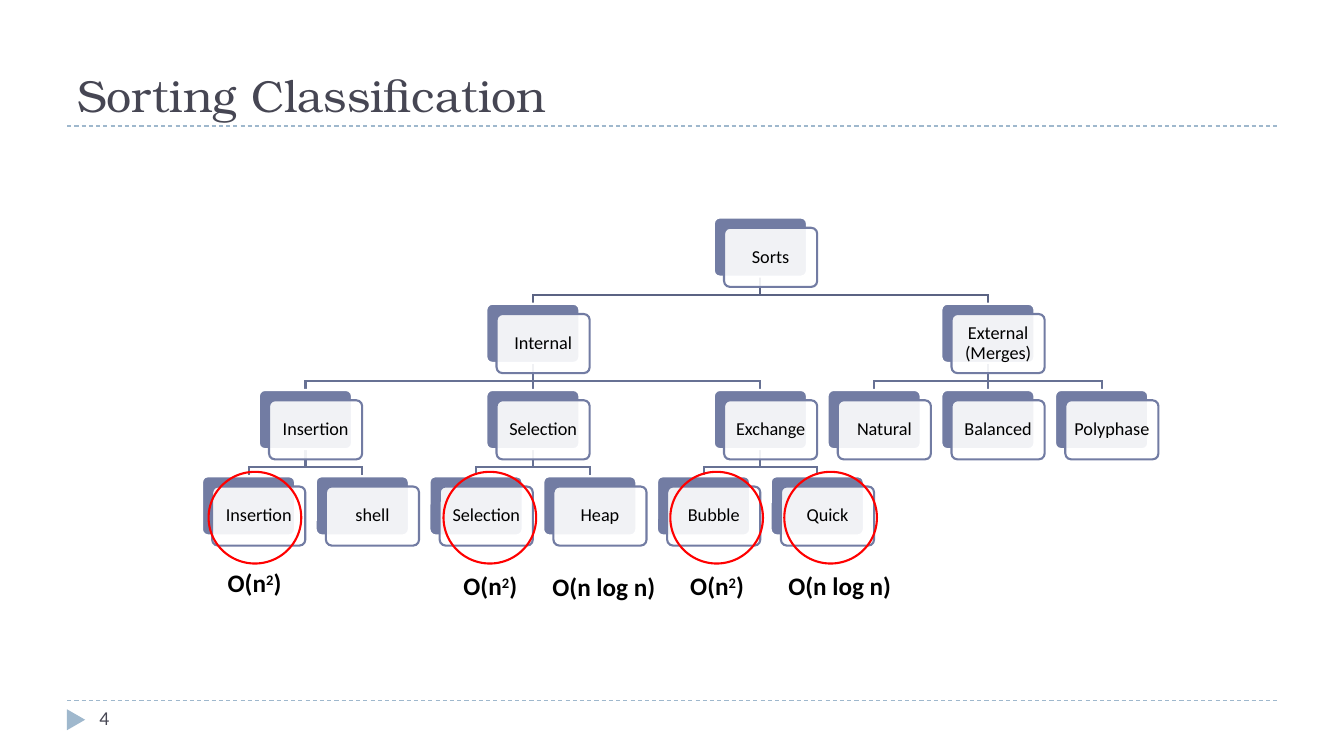
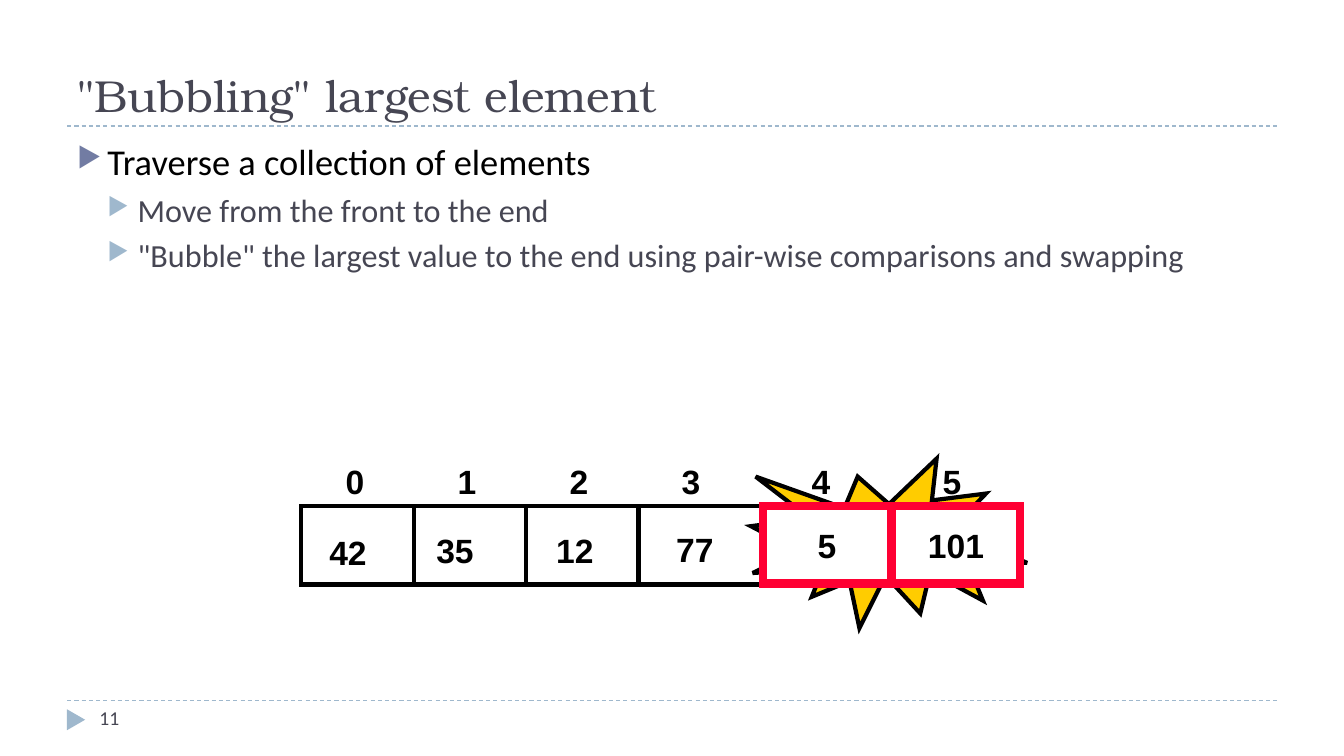
"""Build two slides on sorting: a classification tree and a bubbling step."""
from dataclasses import dataclass

from lxml.etree import SubElement
from pptx import Presentation
from pptx.dml.color import RGBColor
from pptx.enum.dml import MSO_LINE
from pptx.enum.shapes import MSO_CONNECTOR, MSO_SHAPE
from pptx.enum.text import MSO_ANCHOR, PP_ALIGN
from pptx.oxml.ns import qn
from pptx.util import Pt


@dataclass(frozen=True)
class Theme:
    ink: str = "464653"
    black: str = "000000"
    white: str = "FFFFFF"
    accent: str = "727CA3"
    pale: str = "9FB8CD"
    root_branch: str = "5B6383"
    branch: str = "677194"
    ring: str = "FF0000"
    compare: str = "FF0033"
    burst: str = "FFCC00"
    title_font: str = "TeX Gyre Bonum"
    body_font: str = "Calibri"
    array_font: str = "Arial"
    title_size: int = 32
    point_size: int = 26
    subpoint_size: int = 23
    array_size: int = 24
    cost_size: int = 18
    number_size: int = 14
    node_size: int = 13


THEME = Theme()
WIDTH, HEIGHT = 960, 540
MARGIN, CONTENT_WIDTH = 48, 864

SORT_TREE = ("Sorts", [
    ("Internal", [
        ("Insertion", [("Insertion", 0), ("shell", 1)]),
        ("Selection", [("Selection", 2), ("Heap", 3)]),
        ("Exchange", [("Bubble", 4), ("Quick", 5)]),
    ]),
    ("External (Merges)", [("Natural", 5.5), ("Balanced", 6.5), ("Polyphase", 7.5)]),
])
TREE_LEFT, TREE_TOP = 144.3, 155.4
SLOT_STEP, LEVEL_STEP = 81.25, 61.6
CARD_WIDTH, CARD_HEIGHT = 66.5, 42.2
CARD_SHIFT, ELBOW_DROP = 7.3, 13
RING_LEFTS = (149, 316.8, 478.8, 560.2)
RING_TOP, RING_WIDTH, RING_HEIGHT = 337, 66.2, 65.5
QUADRATIC = (("O(n", 0), ("2", 30000), (")", 0))
LINEARITHMIC = (("O(n log n)", 0),)
COSTS = (
    (181.8, 401.8, QUADRATIC),
    (350.2, 404, QUADRATIC),
    (431.3, 404.6, LINEARITHMIC),
    (512.2, 404, QUADRATIC),
    (599.8, 404, LINEARITHMIC),
)
COST_WIDTH = 120

POINTS = (
    (0, "Traverse a collection of elements"),
    (1, "Move from the front to the end"),
    (1, '"Bubble" the largest value to the end using pair-wise comparisons and swapping'),
)
POINT_STYLES = (
    (THEME.point_size, THEME.black, THEME.accent, 6),
    (THEME.subpoint_size, THEME.ink, THEME.pale, 5),
)
POINT_INDENT = 21.6
ARRAY_BOX = (215.3, 361.4, 513.4, 56.2)
CELL_WIDTH = 80.25
SETTLED = (("42", 228.2, 376.6), ("35", 304.6, 375.1), ("12", 390.2, 375.1), ("77", 475.9, 374.4))
INDEX_CENTRES = (253.6, 333.6, 413.6, 493.6, 586.4, 680)
INDEX_TOP, LABEL_WIDTH, LABEL_HEIGHT = 325.4, 42, 36.7
BURST_BOX = (536.4, 327.6, 197.3, 121)
COMPARED = ("5", "101")
COMPARED_LEFT, COMPARED_STEP, COMPARED_WIDTH, COMPARED_HEIGHT = 545, 92.2, 91.4, 55.4


def rgb(value):
    return RGBColor.from_string(value)


def points(*lengths):
    return [Pt(length) for length in lengths]


def add_run(paragraph, text, size, color, font=THEME.body_font, bold=False, baseline=0):
    run = paragraph.add_run()
    run.text = text
    run.font.size, run.font.name, run.font.bold = Pt(size), font, bold
    run.font.color.rgb = rgb(color)
    if baseline:
        run._r.get_or_add_rPr().set("baseline", str(baseline))


def add_label(slide, box, runs, size, color, font=THEME.body_font, bold=False,
              align=PP_ALIGN.LEFT, anchor=MSO_ANCHOR.TOP):
    frame = slide.shapes.add_textbox(*points(*box)).text_frame
    frame.word_wrap = True
    frame.vertical_anchor = anchor
    paragraph = frame.paragraphs[0]
    paragraph.alignment = align
    for text, baseline in runs:
        add_run(paragraph, text, size, color, font, bold, baseline)


def paint(shape, fill=None, line=None, weight=1.5):
    shape.shadow.inherit = False
    if fill:
        shape.fill.solid()
        shape.fill.fore_color.rgb = rgb(fill)
    else:
        shape.fill.background()
    if line:
        shape.line.color.rgb = rgb(line)
        shape.line.width = Pt(weight)
        SubElement(shape._element.spPr.find(qn("a:ln")), qn("a:miter"), lim="800000")
    else:
        shape.line.fill.background()


def add_block(slide, preset, box, fill=None, line=None, weight=1.5):
    block = slide.shapes.add_shape(preset, *points(*box))
    paint(block, fill, line, weight)
    return block


def add_rule(slide, start, end, color, weight, dashed=False):
    rule = slide.shapes.add_connector(MSO_CONNECTOR.STRAIGHT, *points(*start, *end))
    rule.line.color.rgb = rgb(color)
    rule.line.width = Pt(weight)
    if dashed:
        rule.line.dash_style = MSO_LINE.DASH
    SubElement(rule._element.spPr, qn("a:effectLst"))


def add_base(deck, title, number):
    slide = deck.slides.add_slide(deck.slide_layouts[6])
    for y in (500.4, 90):
        add_rule(slide, (MARGIN, y), (MARGIN + CONTENT_WIDTH, y), THEME.pale, 0.75, True)
    marker = add_block(slide, MSO_SHAPE.ISOSCELES_TRIANGLE, (46.8, 507.6, 15, 13), THEME.pale)
    marker.rotation = 90
    add_label(slide, (MARGIN, 12, CONTENT_WIDTH, 78), [(title, 0)], THEME.title_size,
              THEME.ink, THEME.title_font, anchor=MSO_ANCHOR.BOTTOM)
    add_label(slide, (64, 500.4, 208, 28.8), [(str(number), 0)], THEME.number_size, THEME.ink)
    return slide


def place_tree(node, level=0):
    """Return the node's slot with all cards and branches below it."""
    name, below = node
    if not isinstance(below, list):
        return below, [(name, below, level)], []
    placed = [place_tree(child, level + 1) for child in below]
    slots = [slot for slot, _, _ in placed]
    slot = (slots[0] + slots[-1]) / 2
    cards = [(name, slot, level)] + [card for _, group, _ in placed for card in group]
    branches = [(slot, child, level) for child in slots]
    branches += [branch for _, _, group in placed for branch in group]
    return slot, cards, branches


def add_branch(slide, parent, child, level):
    start_x, end_x = (TREE_LEFT + slot * SLOT_STEP + CARD_WIDTH / 2 for slot in (parent, child))
    end_y = TREE_TOP + (level + 1) * LEVEL_STEP
    start_y = end_y - LEVEL_STEP + CARD_HEIGHT
    color = THEME.branch if level else THEME.root_branch
    if start_x == end_x:
        add_rule(slide, (start_x, start_y), (end_x, end_y), color, 1.5)
        return
    bend_y = start_y + ELBOW_DROP
    outline = slide.shapes.build_freeform(*points(start_x, start_y))
    corners = ((start_x, bend_y), (end_x, bend_y), (end_x, end_y))
    outline.add_line_segments([points(*corner) for corner in corners], close=False)
    paint(outline.convert_to_shape(), line=color)


def add_card(slide, name, slot, level):
    left, top = TREE_LEFT + slot * SLOT_STEP, TREE_TOP + level * LEVEL_STEP
    looks = ((0, THEME.accent, THEME.white), (CARD_SHIFT, THEME.white, THEME.accent))
    for shift, fill, line in looks:
        card = add_block(slide, MSO_SHAPE.ROUNDED_RECTANGLE,
                         (left + shift, top + shift, CARD_WIDTH, CARD_HEIGHT), fill, line)
        card.adjustments[0] = 0.1
    tint = card._element.spPr.find(qn("a:solidFill")).find(qn("a:srgbClr"))
    SubElement(tint, qn("a:alpha"), val="90000")
    frame = card.text_frame
    frame.word_wrap = True
    frame.vertical_anchor = MSO_ANCHOR.MIDDLE
    frame.margin_left = frame.margin_right = frame.margin_top = frame.margin_bottom = Pt(3.6)
    paragraph = frame.paragraphs[0]
    paragraph.alignment, paragraph.line_spacing = PP_ALIGN.CENTER, 0.9
    add_run(paragraph, name, THEME.node_size, THEME.black)


def add_points(slide):
    frame = slide.shapes.add_textbox(*points(MARGIN, 96, CONTENT_WIDTH, 389)).text_frame
    frame.word_wrap = True
    for position, (level, text) in enumerate(POINTS):
        paragraph = frame.add_paragraph() if position else frame.paragraphs[0]
        size, color, bullet_color, space = POINT_STYLES[level]
        paragraph.level, paragraph.space_before = level, Pt(space)
        properties = paragraph._p.get_or_add_pPr()
        properties.set("marL", str(Pt(POINT_INDENT * (level + 1))))
        properties.set("indent", str(-Pt(POINT_INDENT)))
        SubElement(SubElement(properties, qn("a:buClr")), qn("a:srgbClr"), val=bullet_color)
        SubElement(properties, qn("a:buSzPct"), val="76000")
        SubElement(properties, qn("a:buChar"), char="▶")
        add_run(paragraph, text, size, color)


def add_array_label(slide, text, left, top, align=PP_ALIGN.LEFT):
    add_label(slide, (left, top, LABEL_WIDTH, LABEL_HEIGHT), [(text, 0)], THEME.array_size,
              THEME.black, THEME.array_font, True, align)


def build_classification(deck):
    slide = add_base(deck, "Sorting Classification", 4)
    _, cards, branches = place_tree(SORT_TREE)
    for branch in branches:
        add_branch(slide, *branch)
    for card in cards:
        add_card(slide, *card)
    for left in RING_LEFTS:
        add_block(slide, MSO_SHAPE.OVAL, (left, RING_TOP, RING_WIDTH, RING_HEIGHT), line=THEME.ring)
    for centre, top, runs in COSTS:
        add_label(slide, (centre - COST_WIDTH / 2, top, COST_WIDTH, 28.8), runs,
                  THEME.cost_size, THEME.black, bold=True, align=PP_ALIGN.CENTER)


def build_bubbling(deck):
    slide = add_base(deck, '"Bubbling" largest element', 11)
    add_points(slide)
    add_block(slide, MSO_SHAPE.RECTANGLE, ARRAY_BOX, line=THEME.black, weight=3)
    left, top, _, height = ARRAY_BOX
    for cell in range(1, len(SETTLED)):
        x = left + cell * CELL_WIDTH
        add_rule(slide, (x, top), (x, top + height), THEME.black, 3)
    for value in SETTLED:
        add_array_label(slide, *value)
    for index, centre in enumerate(INDEX_CENTRES):
        add_array_label(slide, str(index), centre - LABEL_WIDTH / 2, INDEX_TOP, PP_ALIGN.CENTER)
    add_block(slide, MSO_SHAPE.EXPLOSION1, BURST_BOX, THEME.burst, THEME.black, 3)
    for position, value in enumerate(COMPARED):
        box = (COMPARED_LEFT + position * COMPARED_STEP, top, COMPARED_WIDTH, COMPARED_HEIGHT)
        cell = add_block(slide, MSO_SHAPE.RECTANGLE, box, THEME.white, THEME.compare, 6)
        cell.text_frame.vertical_anchor = MSO_ANCHOR.MIDDLE
        paragraph = cell.text_frame.paragraphs[0]
        paragraph.alignment = PP_ALIGN.CENTER
        add_run(paragraph, value, THEME.array_size, THEME.black, THEME.array_font, True)


def main():
    deck = Presentation()
    deck.slide_width, deck.slide_height = points(WIDTH, HEIGHT)
    build_classification(deck)
    build_bubbling(deck)
    deck.save("out.pptx")


if __name__ == "__main__":
    main()
